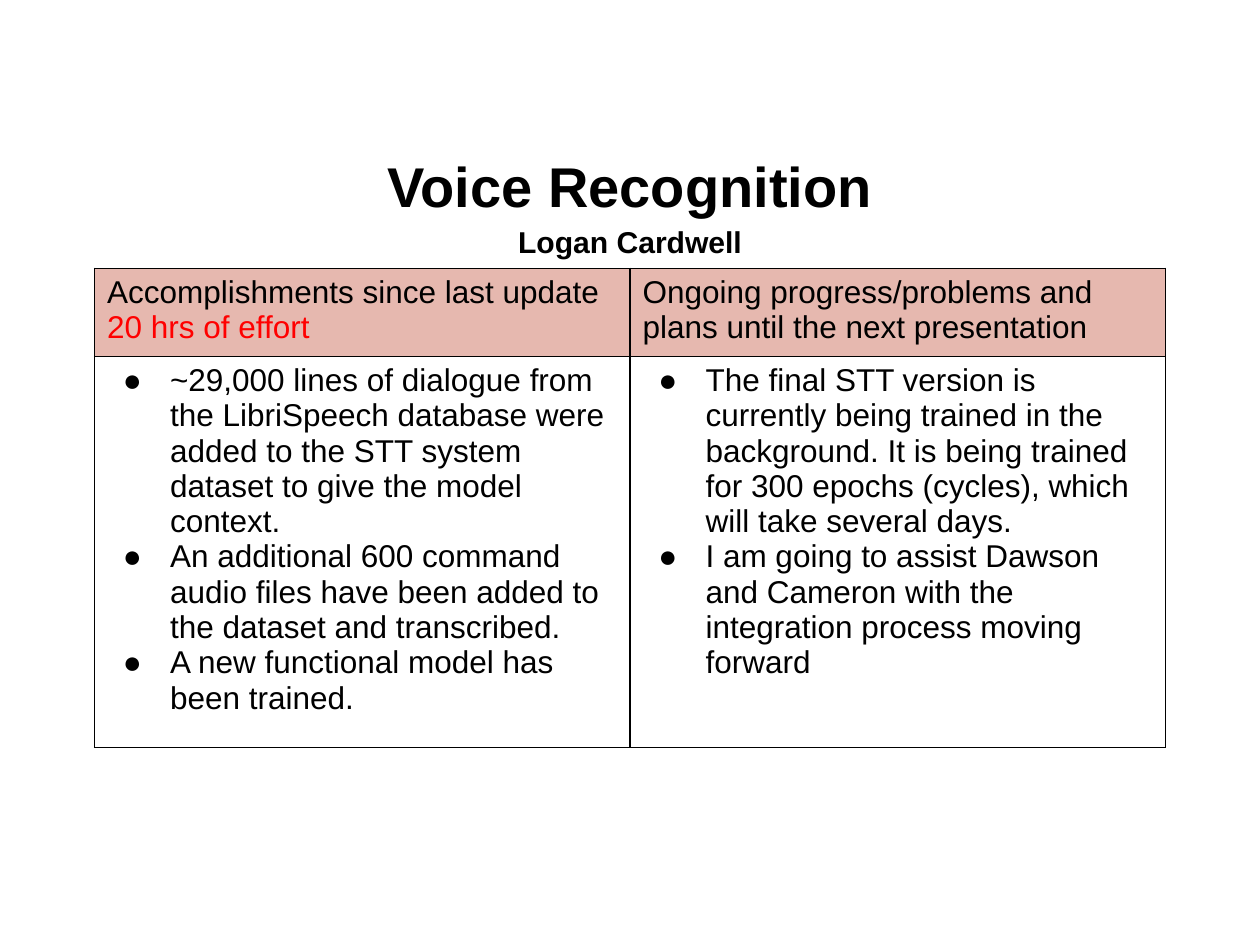
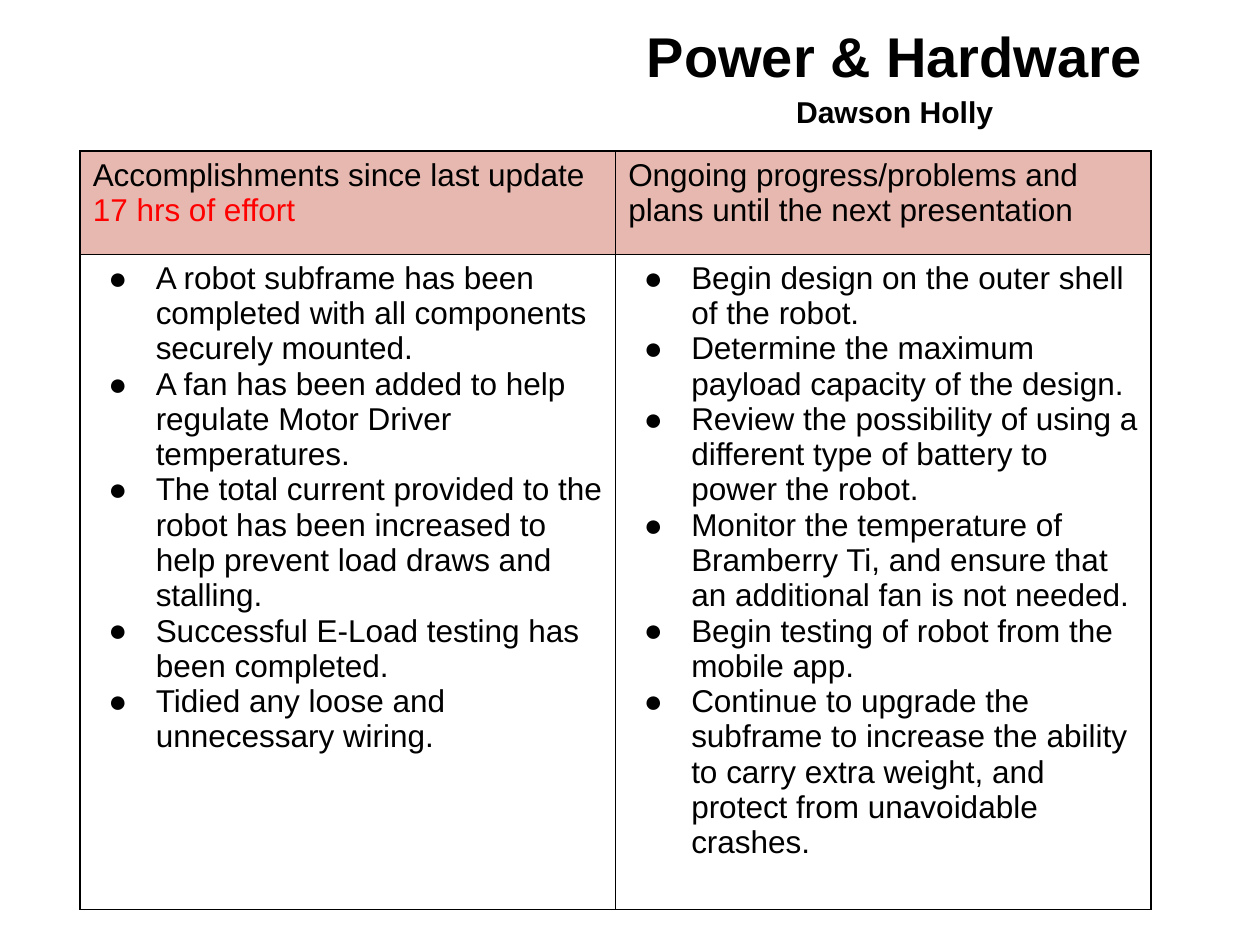
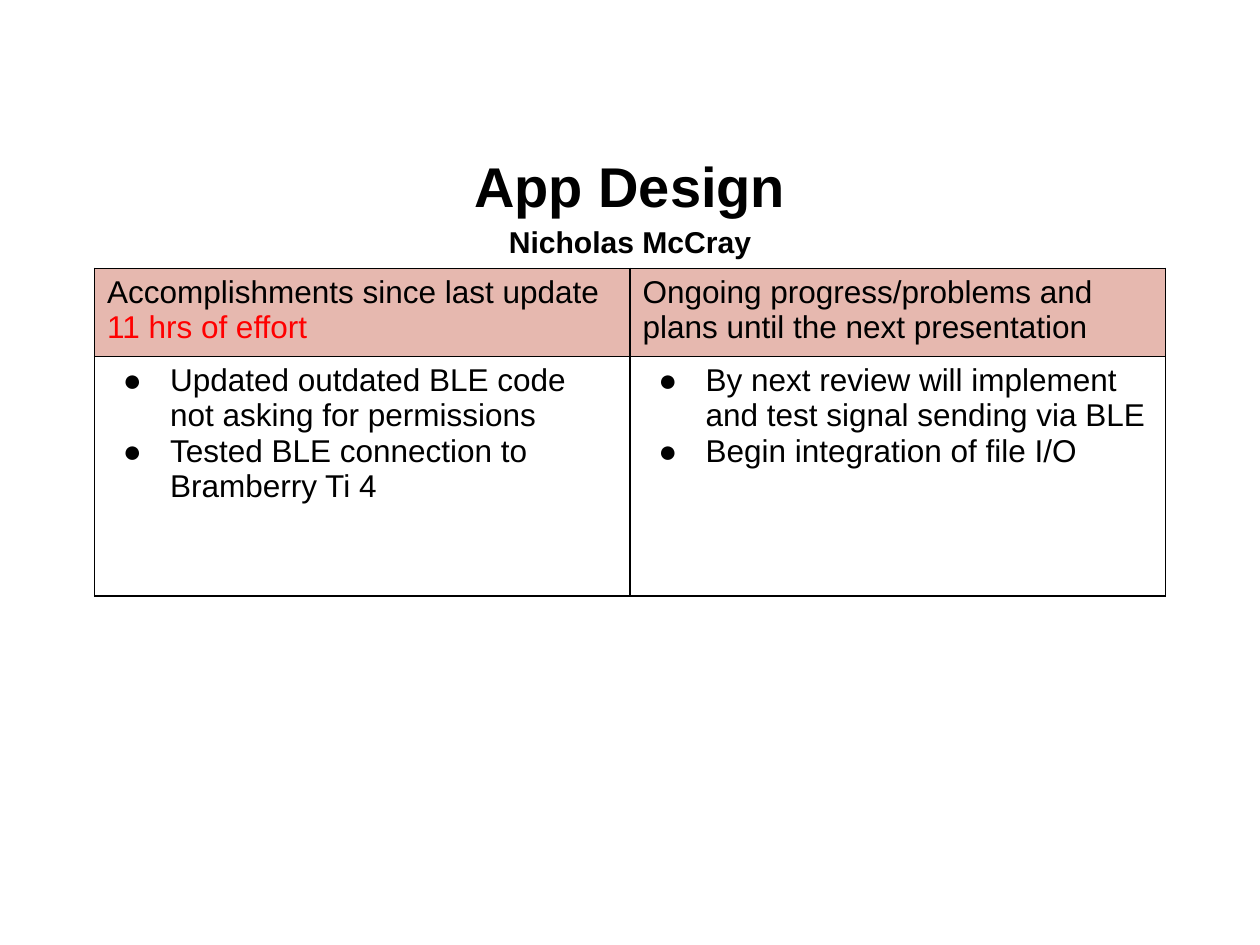
from dataclasses import dataclass

from lxml import etree
from pptx import Presentation
from pptx.dml.color import RGBColor
from pptx.enum import text
from pptx.oxml import ns
from pptx.util import Pt


@dataclass(frozen=True)
class Theme:
    font: str = "Arial"
    ink: str = "000000"
    effort: str = "FF0000"
    header: str = "E6B8AF"
    title_size: float = 32
    name_size: float = 17.2
    table_size: float = 18


theme = Theme()

UPDATES = [
    dict(
        topic="Voice Recognition", presenter="Logan Cardwell", hours=20,
        title_at=(36, 82.8), table_at=(54, 153.4), row_heights=(50.4, 136.8),
        done=[
            "~29,000 lines of dialogue from the LibriSpeech database were added to the STT system dataset to give the model context.",
            "An additional 600 command audio files have been added to the dataset and transcribed.",
            "A new functional model has been trained.",
        ],
        planned=[
            "The final STT version is currently being trained in the background. It is being trained for 300 epochs (cycles), which will take several days.",
            "I am going to assist Dawson and Cameron with the integration process moving forward",
        ],
    ),
    dict(
        topic="Power & Hardware", presenter="Dawson Holly", hours=17,
        title_at=(187.2, 8.6), table_at=(45.8, 86.4), row_heights=(59, 373),
        done=[
            "A robot subframe has been completed with all components securely mounted.",
            "A fan has been added to help regulate Motor Driver temperatures.",
            "The total current provided to the robot has been increased to help prevent load draws and stalling.",
            "Successful E-Load testing has been completed.",
            "Tidied any loose and unnecessary wiring.",
        ],
        planned=[
            "Begin design on the outer shell of the robot.",
            "Determine the maximum payload capacity of the design.",
            "Review the possibility of using a different type of battery to power the robot.",
            "Monitor the temperature of Bramberry Ti, and ensure that an additional fan is not needed.",
            "Begin testing of robot from the mobile app.",
            "Continue to upgrade the subframe to increase the ability to carry extra weight, and protect from unavoidable crashes.",
        ],
    ),
    dict(
        topic="App Design", presenter="Nicholas McCray", hours=11,
        title_at=(36, 82.8), table_at=(54, 153.4), row_heights=(50.4, 136.8),
        done=[
            "Updated outdated BLE code not asking for permissions",
            "Tested BLE connection to Bramberry Ti 4",
        ],
        planned=[
            "By next review will implement and test signal sending via BLE",
            "Begin integration of file I/O",
        ],
    ),
]


def style(font, size, color=theme.ink, bold=False):
    font.name = theme.font
    font.size = Pt(size)
    font.bold = bold
    font.color.rgb = RGBColor.from_string(color)


def add_xml(parent, tag, **attributes):
    return etree.SubElement(parent, ns.qn(tag), attributes)


presentation = Presentation()
presentation.slide_width, presentation.slide_height = Pt(720), Pt(540)

for update in UPDATES:
    slide = presentation.slides.add_slide(presentation.slide_layouts[6])

    left, top = update["title_at"]
    title = slide.shapes.add_textbox(Pt(left), Pt(top), Pt(648), Pt(63.4))
    frame = title.text_frame
    frame.word_wrap = True
    frame.vertical_anchor = text.MSO_ANCHOR.MIDDLE
    frame.text = f"{update['topic']}\n{update['presenter']}"
    for paragraph, size in zip(frame.paragraphs, (theme.title_size, theme.name_size)):
        paragraph.alignment = text.PP_ALIGN.CENTER
        paragraph.line_spacing = 1.15
        style(paragraph.font, size, bold=True)

    left, top = update["table_at"]
    heights = update["row_heights"]
    table = slide.shapes.add_table(2, 2, Pt(left), Pt(top), Pt(612), Pt(sum(heights))).table
    table.first_row = table.horz_banding = False
    for row, height in zip(table.rows, heights):
        row.height = Pt(height)
    for column in table.columns:
        column.width = Pt(306)

    for cell in table.iter_cells():
        cell_properties = cell._tc.get_or_add_tcPr()
        for side in "LRTB":
            border = add_xml(cell_properties, f"a:ln{side}", w=str(Pt(1)))
            add_xml(add_xml(border, "a:solidFill"), "a:srgbClr", val=theme.ink)
        cell.fill.background()

    headings = ("Accomplishments since last update ",
                "Ongoing progress/problems and plans until the next presentation")
    for column, heading in enumerate(headings):
        cell = table.cell(0, column)
        cell.fill.solid()
        cell.fill.fore_color.rgb = RGBColor.from_string(theme.header)
        cell.text = heading
        style(cell.text_frame.paragraphs[0].runs[0].font, theme.table_size)
    effort = table.cell(0, 0).text_frame.paragraphs[0].add_run()
    effort.text = f"{update['hours']} hrs of effort"
    style(effort.font, theme.table_size, theme.effort)

    for column, items in enumerate((update["done"], update["planned"])):
        frame = table.cell(1, column).text_frame
        frame.text = "\n".join(items)
        for paragraph in frame.paragraphs:
            properties = paragraph._p.get_or_add_pPr()
            properties.set("marL", str(Pt(36)))
            properties.set("indent", str(Pt(-27)))
            add_xml(add_xml(properties, "a:buClr"), "a:srgbClr", val=theme.ink)
            add_xml(properties, "a:buFont", typeface=theme.font)
            add_xml(properties, "a:buChar", char="●")
            style(paragraph.font, theme.table_size)

presentation.save("out.pptx")
